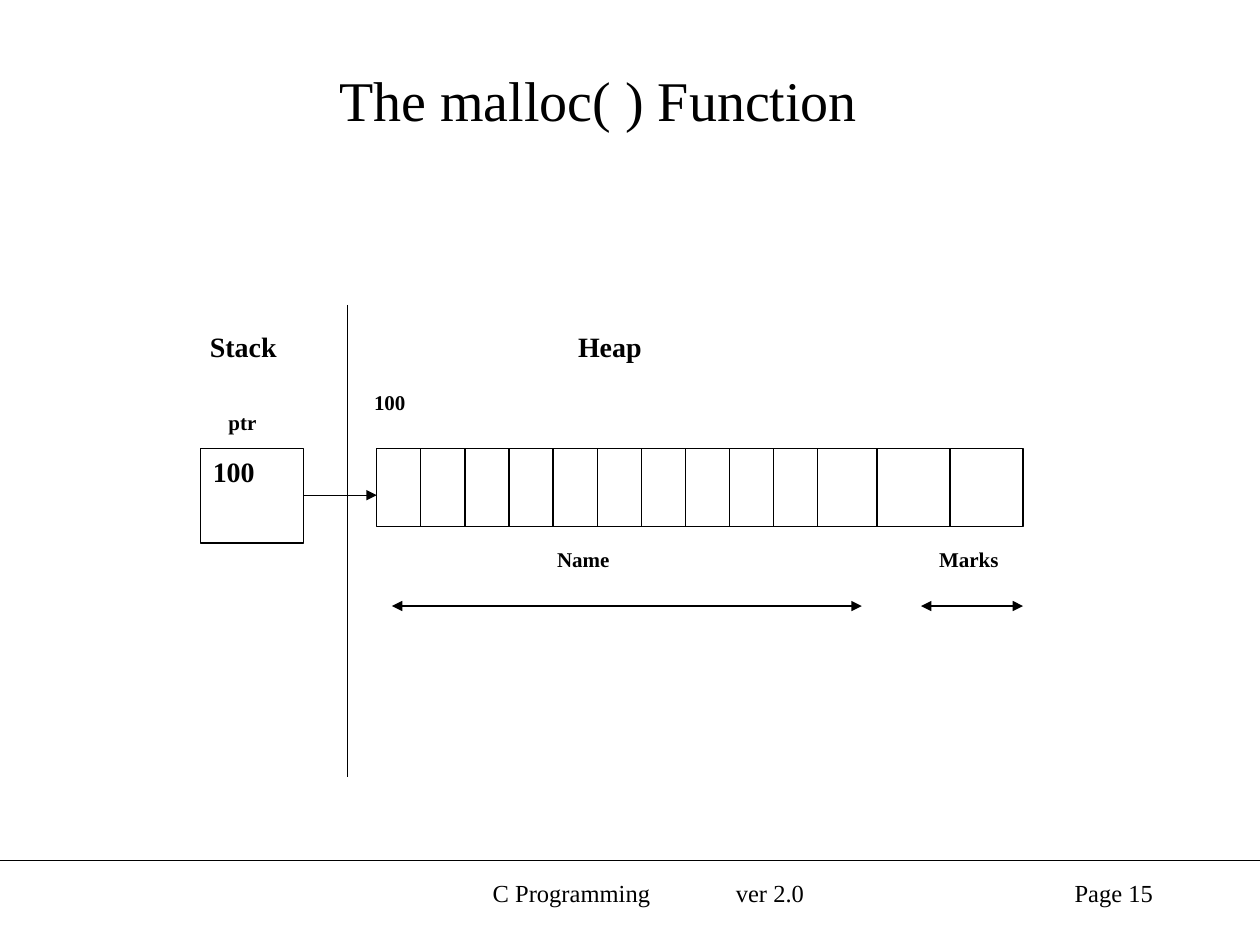
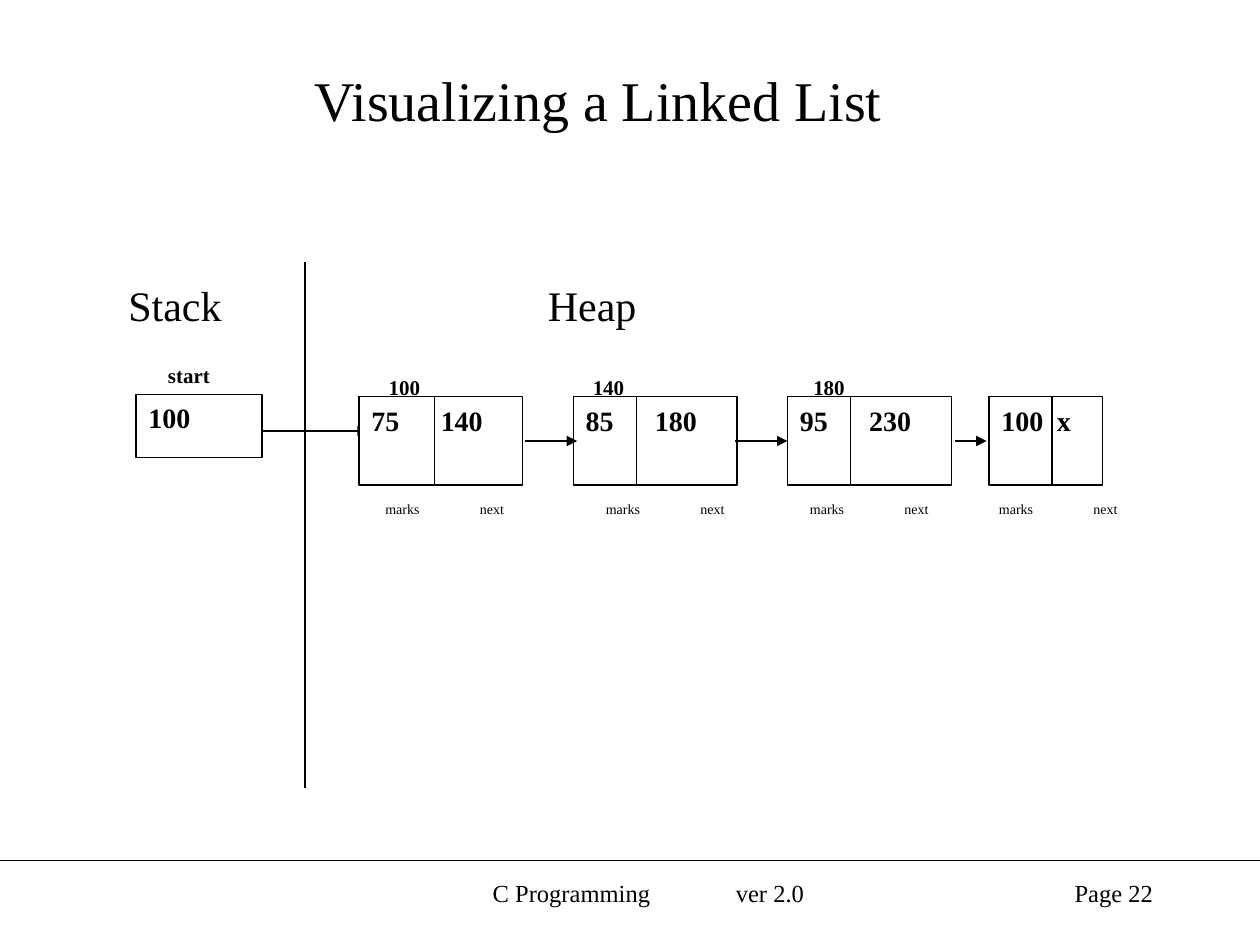
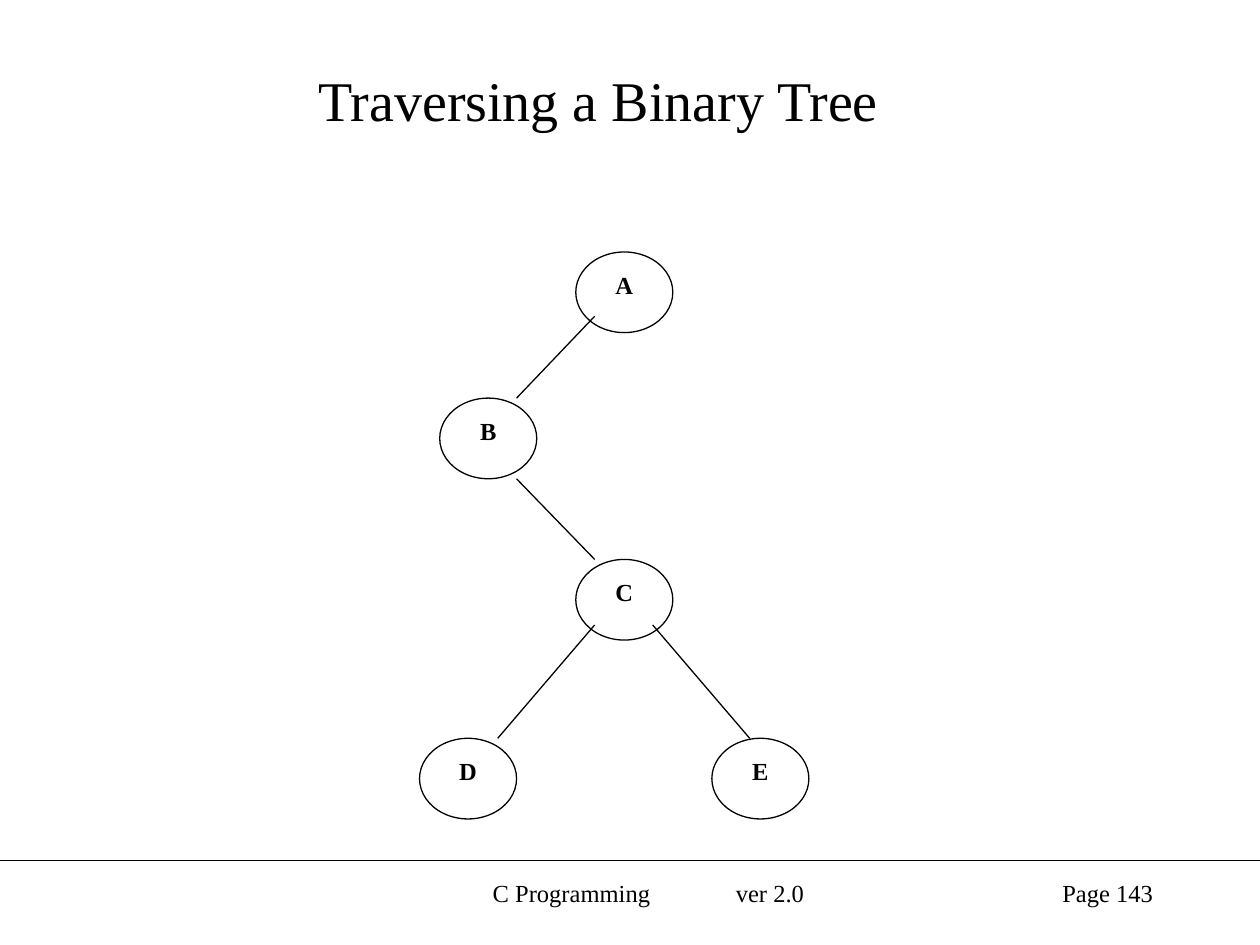
"""Builds three C Programming slides on malloc, linked lists and binary trees."""
from lxml import etree
from pptx import Presentation
from pptx import util as u
from pptx.dml.color import RGBColor
from pptx.enum import shapes, text
from pptx.oxml import ns

COLORS = {"ink": "000000", "paper": "FFFFFF"}
FONT = "Times New Roman"
LINE_WIDTH = u.Pt(0.75)
LEFT, CENTER, RIGHT = text.PP_ALIGN.LEFT, text.PP_ALIGN.CENTER, text.PP_ALIGN.RIGHT
RECTANGLE, OVAL = shapes.MSO_SHAPE.RECTANGLE, shapes.MSO_SHAPE.OVAL


def color(name):
    return RGBColor.from_string(COLORS[name])


class Deck:
    def __init__(self):
        self.presentation = Presentation()
        self.presentation.slide_width = u.Inches(10)
        self.presentation.slide_height = u.Inches(7.5)
        self.slide = None

    def new_slide(self, title, page):
        self.slide = self.presentation.slides.add_slide(self.presentation.slide_layouts[5])
        placeholder = self.slide.shapes.title
        box = {"left": 0.5, "top": 0.25, "width": 8.5, "height": 1.08}
        for name, value in box.items():
            setattr(placeholder, name, u.Inches(value))
        self.set_text(placeholder, title, 32, align=CENTER, anchor=text.MSO_ANCHOR.MIDDLE)
        self.line(0, 6.83, 10, 6.83)
        self.text_box(3.42, 6.92, 3.42, 0.5, "C Programming\tver 2.0", 14, tab=1.93, inset=0.49)
        self.text_box(7.17, 6.92, 2.08, 0.5, f"Page {page}", 14, align=RIGHT)

    def set_text(self, shape, words, size, bold=False, align=LEFT, tab=None, inset=0.1,
                 anchor=text.MSO_ANCHOR.TOP):
        frame = shape.text_frame
        frame_format = {
            "word_wrap": True, "auto_size": text.MSO_AUTO_SIZE.NONE, "vertical_anchor": anchor,
            "margin_left": u.Inches(inset), "margin_right": u.Inches(0.1),
            "margin_top": u.Inches(0.05), "margin_bottom": u.Inches(0.05),
        }
        for name, value in frame_format.items():
            setattr(frame, name, value)
        paragraph = frame.paragraphs[0]
        paragraph.alignment = align
        if tab:
            properties = paragraph._p.get_or_add_pPr()
            tabs = etree.SubElement(properties, ns.qn("a:tabLst"))
            etree.SubElement(tabs, ns.qn("a:tab"), pos=str(u.Inches(tab)), algn="l")
        run = paragraph.add_run()
        run.text = words
        for name, value in {"name": FONT, "size": u.Pt(size), "bold": bold}.items():
            setattr(run.font, name, value)
        run.font.color.rgb = color("ink")

    def text_box(self, left, top, width, height, words, size, **style):
        box = self.slide.shapes.add_textbox(*map(u.Inches, (left, top, width, height)))
        self.set_text(box, words, size, **style)

    def shape(self, kind, left, top, width, height, words="", size=16, outlined=True,
              bold=True, **style):
        shape = self.slide.shapes.add_shape(kind, *map(u.Inches, (left, top, width, height)))
        shape.shadow.inherit = False
        shape.fill.solid()
        shape.fill.fore_color.rgb = color("paper")
        if outlined:
            shape.line.color.rgb = color("ink")
            shape.line.width = LINE_WIDTH
        else:
            shape.line.fill.background()
        if words:
            self.set_text(shape, words, size, bold=bold, **style)

    def label(self, left, top, width, height, words, size=12, align=CENTER, bold=True):
        self.shape(RECTANGLE, left, top, width, height, words, size,
                   outlined=False, bold=bold, align=align)

    def line(self, x1, y1, x2, y2, ends=()):
        connector = self.slide.shapes.add_connector(
            shapes.MSO_CONNECTOR.STRAIGHT, *map(u.Inches, (x1, y1, x2, y2)))
        connector.line.color.rgb = color("ink")
        connector.line.width = LINE_WIDTH
        for end in ends:
            etree.SubElement(connector.line._get_or_add_ln(), ns.qn(f"a:{end}End"),
                             type="triangle")
        etree.SubElement(connector._element.spPr, ns.qn("a:effectLst"))

    def arrow(self, x1, x2, y, ends=("tail",)):
        self.line(x1, y, x2, y, ends)


def malloc_slide(deck):
    deck.new_slide("The malloc( ) Function", 15)
    deck.label(1.56, 3.2, 0.73, 0.47, "ptr")
    deck.line(2.76, 2.42, 2.76, 6.17)
    deck.shape(RECTANGLE, 1.59, 3.56, 0.82, 0.75, "100")

    heap_left, heap_top, heap_height = 2.99, 3.56, 0.62
    deck.shape(RECTANGLE, heap_left, heap_top, 5.13, heap_height)
    name_dividers = [heap_left + 0.35 * i for i in range(1, 11)]
    for x in name_dividers + [6.96, 7.54]:
        deck.line(x, heap_top, x, heap_top + heap_height)

    for start, end in ((3.11, 6.84), (7.31, 8.12)):
        deck.arrow(start, end, 4.81, ("head", "tail"))
    deck.arrow(2.41, heap_left, 3.93)
    for left, words in ((1.42, "Stack"), (4.33, "Heap")):
        deck.label(left, 2.57, 1.02, 0.47, words, 16)
    for left, words in ((3.9, "Name"), (6.96, "Marks")):
        deck.label(left, 4.29, 1.46, 0.47, words)
    deck.label(2.87, 3.04, 0.58, 0.47, "100", align=LEFT)


def linked_list_slide(deck):
    deck.new_slide("Visualizing a Linked List", 22)
    for left, address in ((2.96, "100"), (4.58, "140"), (6.33, "180")):
        deck.label(left, 2.92, 0.5, 0.38, address)
    deck.label(1, 2.83, 1, 0.37, "start")
    deck.shape(RECTANGLE, 1.08, 3.13, 1, 0.5, "100")
    deck.arrow(2.08, 2.92, 3.42)

    node_top, node_height = 3.15, 0.7
    nodes = (
        (2.85, 1.3, 0.6, "75\t140", 0.55, 2.96),
        (4.55, 1.3, 0.5, "85\t180", 0.55, 4.71),
        (6.25, 1.3, 0.5, "95\t230", 0.55, 6.33),
        (7.85, 0.9, 0.5, "100\tx", 0.44, 7.83),
    )
    for left, width, split, values, tab, caption_left in nodes:
        deck.shape(RECTANGLE, left, node_top, width, node_height, values, tab=tab)
        deck.line(left + split, node_top, left + split, node_top + node_height)
        for offset, caption in ((0, "marks"), (0.75, "next")):
            deck.label(caption_left + offset, 3.92, 0.5, 0.25, caption, 8, LEFT, False)

    deck.line(2.42, 2.08, 2.42, 6.25)
    for left, words in ((0.92, "Stack"), (4.25, "Heap")):
        deck.text_box(left, 2.17, 1.25, 0.5, words, 24)
    for start, end in ((4.17, 4.58), (5.83, 6.25), (7.58, 7.83)):
        deck.arrow(start, end, 3.5)


def binary_tree_slide(deck):
    deck.new_slide("Traversing a Binary Tree", 143)
    nodes = {"A": (4.57, 2), "B": (3.49, 3.16), "C": (4.57, 4.44),
             "D": (3.33, 5.86), "E": (5.65, 5.86)}
    for name, (left, top) in nodes.items():
        deck.shape(OVAL, left, top, 0.77, 0.64, name, 14, align=CENTER)
    branches = ((4.72, 2.51, 4.1, 3.16), (4.1, 3.8, 4.72, 4.44),
                (4.72, 4.96, 3.95, 5.86), (5.18, 4.96, 5.95, 5.86))
    for branch in branches:
        deck.line(*branch)


def main():
    deck = Deck()
    malloc_slide(deck)
    linked_list_slide(deck)
    binary_tree_slide(deck)
    deck.presentation.save("out.pptx")


if __name__ == "__main__":
    main()
